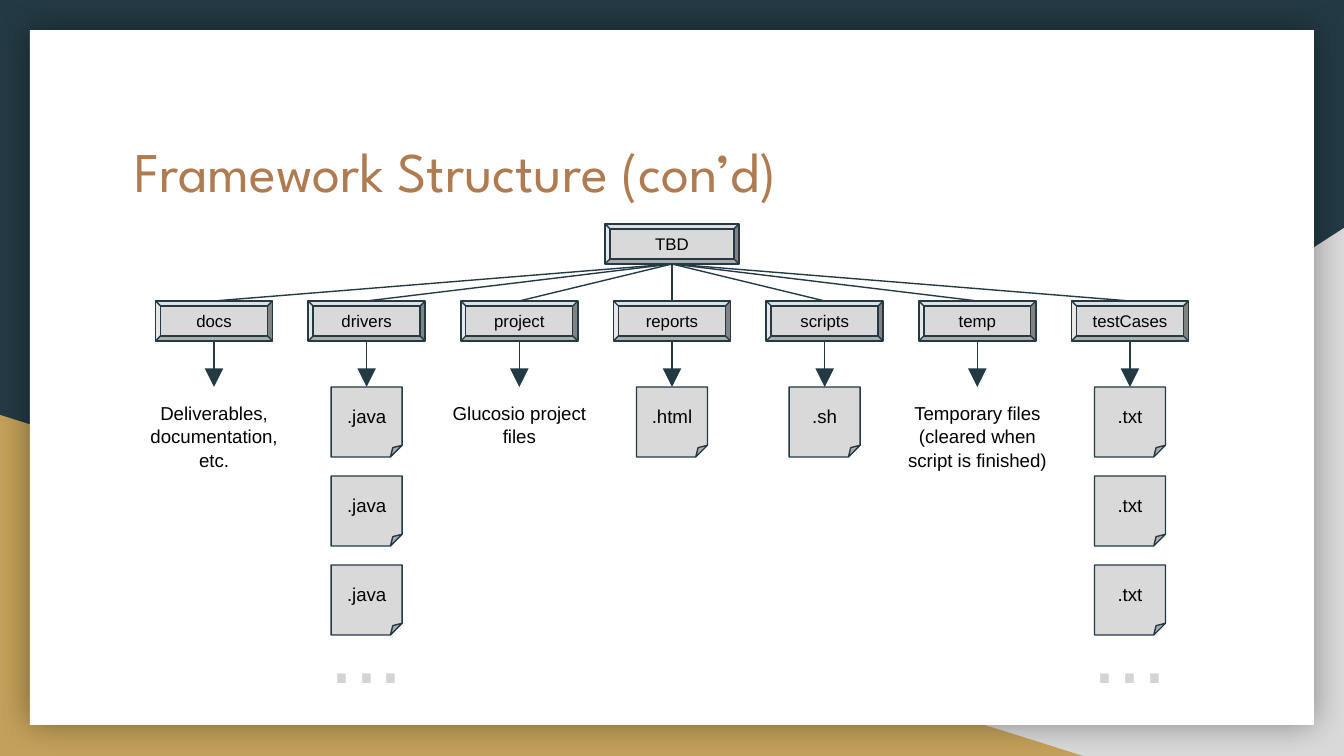
from dataclasses import dataclass

from lxml import etree
from pptx import Presentation
from pptx import util as u
from pptx.dml.color import RGBColor
from pptx.enum import shapes, text
from pptx.oxml import ns

TITLE = "Framework Structure (con’d)"
ROOT = "TBD"
FOLDERS = [
    {"name": "docs", "about": "Deliverables, documentation, etc."},
    {"name": "drivers", "file": ".java", "count": 3},
    {"name": "project", "about": "Glucosio project files"},
    {"name": "reports", "file": ".html", "count": 1},
    {"name": "scripts", "file": ".sh", "count": 1},
    {"name": "temp", "about": "Temporary files (cleared when script is finished)"},
    {"name": "testCases", "file": ".txt", "count": 3},
]
MORE = "..."


@dataclass(frozen=True)
class Theme:
    navy: str = "233A44"
    gray: str = "D9D9D9"
    gold: str = "C4A15A"
    card: str = "FFFFFF"
    title: str = "AF7B51"
    ink: str = "000000"
    dots: str = "D4D4D4"
    heading_font: str = "League Spartan"
    body_font: str = "Arial"
    title_size: int = 30
    folder_size: int = 9
    file_size: int = 10
    dots_size: int = 48
    line_width: float = 0.75


THEME = Theme()
EMU_PER_PX = 914400 / 134.4
SLIDE_W, SLIDE_H = 1344, 756
FIRST_X, LAST_X = 214, 1130
ROOT_TOP, ROOT_W, BOX_H = 224, 134, 40
FOLDER_TOP, FOLDER_W = 301, 117
FILE_TOP, FILE_W, FILE_H, FILE_STEP = 387, 71, 70, 89
ABOUT_W, ABOUT_H = 166, 130
DOTS_TOP, DOTS_W, DOTS_H = 575, 108, 140
MARGIN = 13


def px(*lengths):
    return [u.Emu(round(length * EMU_PER_PX)) for length in lengths]


def centered(x, top, width, height):
    return px(x - width / 2, top, width, height)


def write(frame, words, size, color, font=THEME.body_font,
          align=text.PP_ALIGN.CENTER, anchor=text.MSO_ANCHOR.TOP, spacing=1.06):
    margin = px(MARGIN)[0]
    frame_format = {"word_wrap": True, "vertical_anchor": anchor}
    for side in ("left", "top", "right", "bottom"):
        frame_format[f"margin_{side}"] = margin
    for key, value in frame_format.items():
        setattr(frame, key, value)
    paragraph = frame.paragraphs[0]
    paragraph.alignment, paragraph.line_spacing = align, spacing
    run = paragraph.add_run()
    run.text = words
    run.font.name, run.font.size = font, u.Pt(size)
    run.font.color.rgb = RGBColor.from_string(color)


def add_label(slide, place, words, size, color, **style):
    write(slide.shapes.add_textbox(*place).text_frame, words, size, color, **style)


def add_panel(slide, kind, place, color):
    panel = slide.shapes.add_shape(kind, *place)
    panel.shadow.inherit = False
    panel.fill.solid()
    panel.fill.fore_color.rgb = RGBColor.from_string(color)
    panel.line.fill.background()
    return panel


def outline(line):
    line.color.rgb = RGBColor.from_string(THEME.navy)
    line.width = u.Pt(THEME.line_width)


def add_box(slide, kind, place, words, size):
    box = add_panel(slide, kind, place, THEME.gray)
    outline(box.line)
    write(box.text_frame, words, size, THEME.ink, anchor=text.MSO_ANCHOR.MIDDLE, spacing=1.0)
    return box


def add_folder(slide, x, top, width, name):
    add_box(slide, shapes.MSO_SHAPE.BEVEL, centered(x, top, width, BOX_H),
            name, THEME.folder_size)


def add_link(slide, start, end, arrow=False):
    link = slide.shapes.add_connector(shapes.MSO_CONNECTOR.STRAIGHT, *px(*start, *end))
    outline(link.line)
    if arrow:
        etree.SubElement(link.line._get_or_add_ln(), ns.qn("a:tailEnd"),
                         type="triangle", w="lg", len="lg")
    etree.SubElement(link._element.spPr, ns.qn("a:effectLst"))
    return link


def add_backdrop(slide):
    fill = slide.background.fill
    fill.solid()
    fill.fore_color.rgb = RGBColor.from_string(THEME.navy)
    triangle = shapes.MSO_SHAPE.RIGHT_TRIANGLE
    right = add_panel(slide, triangle, px(527, 228, 817, 528), THEME.gray)
    right._element.spPr.xfrm.set("flipH", "1")
    add_panel(slide, triangle, px(0, 415, 1083, 341), THEME.gold)
    card = add_panel(slide, shapes.MSO_SHAPE.RECTANGLE, px(30, 30, 1284, 695), THEME.card)
    effects = card._element.spPr.find(ns.qn("a:effectLst"))
    shadow = etree.SubElement(effects, ns.qn("a:outerShdw"), blurRad=str(int(u.Pt(18))),
                              dist="0", dir="0", algn="ctr", rotWithShape="0")
    tint = etree.SubElement(shadow, ns.qn("a:srgbClr"), val=THEME.ink)
    etree.SubElement(tint, ns.qn("a:alpha"), val="40000")


def add_column(slide, x, folder):
    add_folder(slide, x, FOLDER_TOP, FOLDER_W, folder["name"])
    add_link(slide, (SLIDE_W / 2, ROOT_TOP + BOX_H), (x, FOLDER_TOP))
    arrow = add_link(slide, (x, FOLDER_TOP + BOX_H), (x, FILE_TOP), arrow=True)
    if "about" in folder:
        add_label(slide, centered(x, FILE_TOP, ABOUT_W, ABOUT_H),
                  folder["about"], THEME.file_size, THEME.ink)
        return
    files = [
        add_box(slide, shapes.MSO_SHAPE.FOLDED_CORNER,
                centered(x, FILE_TOP + row * FILE_STEP, FILE_W, FILE_H),
                folder["file"], THEME.file_size)
        for row in range(folder["count"])
    ]
    arrow.end_connect(files[0], 0)
    if len(files) > 1:
        add_label(slide, centered(x, DOTS_TOP, DOTS_W, DOTS_H),
                  MORE, THEME.dots_size, THEME.dots)


def main():
    deck = Presentation()
    deck.slide_width, deck.slide_height = px(SLIDE_W, SLIDE_H)
    slide = deck.slides.add_slide(deck.slide_layouts[6])
    add_backdrop(slide)
    add_label(slide, px(121, 124, 1103, 140), TITLE, THEME.title_size, THEME.title,
              font=THEME.heading_font, align=text.PP_ALIGN.LEFT, spacing=1.0)
    add_folder(slide, SLIDE_W / 2, ROOT_TOP, ROOT_W, ROOT)
    pitch = (LAST_X - FIRST_X) / (len(FOLDERS) - 1)
    for index, folder in enumerate(FOLDERS):
        add_column(slide, FIRST_X + index * pitch, folder)
    deck.save("out.pptx")


if __name__ == "__main__":
    main()
